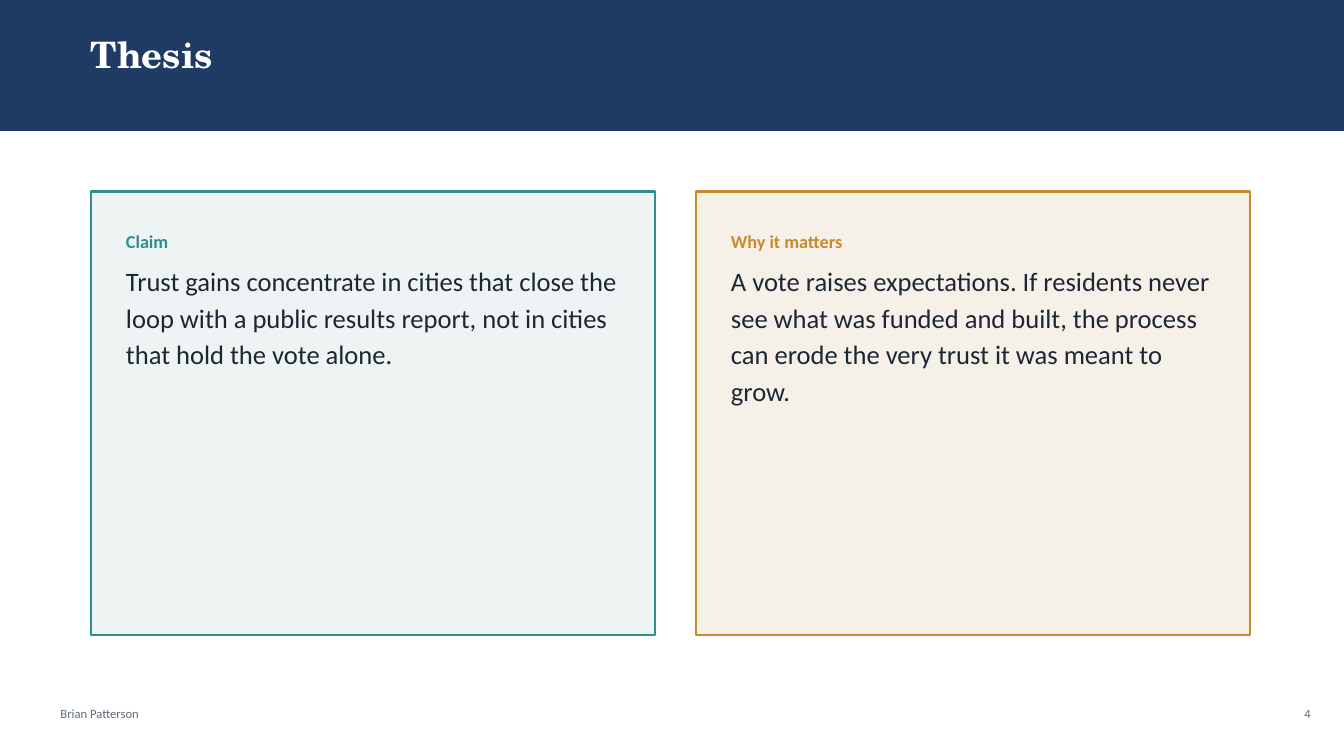
import pptx
import pptx.dml.color
import pptx.enum.shapes
import pptx.enum.text
import pptx.util
from dataclasses import dataclass

TITLE = "Thesis"
AUTHOR = "Brian Patterson"
PAGE_NUMBER = "4"
CARDS = [
    {
        "heading": "Claim",
        "body": "Trust gains concentrate in cities that close the loop with a "
                "public results report, not in cities that hold the vote alone.",
        "width": 5.6, "accent": "2F8F8A", "fill": "EEF4F3",
    },
    {
        "heading": "Why it matters",
        "body": "A vote raises expectations. If residents never see what was "
                "funded and built, the process can erode the very trust it was "
                "meant to grow.",
        "width": 5.5, "accent": "C98A2B", "fill": "F6F1E8",
    },
]


@dataclass(frozen=True)
class Theme:
    navy: str = "1F3A63"
    white: str = "FFFFFF"
    ink: str = "1D2733"
    muted: str = "5E6B7A"
    title_font: str = "TeX Gyre Schola"
    body_font: str = "Calibri"
    title_size: int = 26
    heading_size: int = 13
    body_size: int = 19
    footer_size: int = 9
    line_spacing: float = 1.15
    space_after: int = 6
    border: float = 1.5


THEME = Theme()
WIDTH, HEIGHT = 13.33, 7.5
MARGIN = 0.9
BAND_HEIGHT = 1.3
CARD_TOP, CARD_HEIGHT, CARD_GAP = 1.9, 4.4, 0.4
PADDING, PADDING_RIGHT = 0.35, 0.25
FOOTER_TOP, FOOTER_HEIGHT = 7, 0.4


def color(value):
    return pptx.dml.color.RGBColor.from_string(value)


def add_panel(page, box, fill, line=None):
    panel = page.shapes.add_shape(
        pptx.enum.shapes.MSO_SHAPE.RECTANGLE, *map(pptx.util.Inches, box))
    panel.shadow.inherit = False
    panel.fill.solid()
    panel.fill.fore_color.rgb = color(fill)
    if line:
        panel.line.color.rgb = color(line)
        panel.line.width = pptx.util.Pt(THEME.border)
    else:
        panel.line.fill.background()


def fill_text(shape, lines, font=THEME.body_font, align="LEFT", spacing=None):
    """Write lines of (text, size, colour, bold), one paragraph each."""
    frame = shape.text_frame
    frame.text = "\n".join(line[0] for line in lines)
    frame.word_wrap = True
    frame.auto_size = pptx.enum.text.MSO_AUTO_SIZE.NONE
    frame.vertical_anchor = pptx.enum.text.MSO_ANCHOR.TOP
    frame.margin_left = frame.margin_right = 0
    frame.margin_top = frame.margin_bottom = 0
    for para, (_, size, ink, bold) in zip(frame.paragraphs, lines):
        para.alignment = getattr(pptx.enum.text.PP_ALIGN, align)
        para.space_after = pptx.util.Pt(THEME.space_after)
        if spacing:
            para.line_spacing = spacing
        for span in para.runs:
            span.font.name = font
            span.font.size = pptx.util.Pt(size)
            span.font.bold = bold
            span.font.color.rgb = color(ink)


def add_text(page, box, lines, **options):
    shape = page.shapes.add_textbox(*map(pptx.util.Inches, box))
    fill_text(shape, lines, **options)


def add_title(page):
    add_panel(page, (0, 0, WIDTH, BAND_HEIGHT), THEME.navy)
    title = page.shapes.title
    title.left, title.top, title.width, title.height = map(
        pptx.util.Inches, (MARGIN, 0.32, 11.5, 0.8))
    fill_text(title, [(TITLE, THEME.title_size, THEME.white, True)],
              font=THEME.title_font)
    title.element.getparent().append(title.element)  # in front of the band


def add_cards(page):
    left = MARGIN
    for card in CARDS:
        width = card["width"]
        add_panel(page, (left, CARD_TOP, width, CARD_HEIGHT),
                  card["fill"], card["accent"])
        inner = (left + PADDING, CARD_TOP + PADDING,
                 width - PADDING - PADDING_RIGHT, CARD_HEIGHT - 2 * PADDING)
        add_text(page, inner, [
            (card["heading"], THEME.heading_size, card["accent"], True),
            (card["body"], THEME.body_size, THEME.ink, False),
        ], spacing=THEME.line_spacing)
        left += width + CARD_GAP


def add_footer(page):
    for text, left, width, align in (
        (AUTHOR, 0.6, WIDTH - 1.2, "LEFT"),
        (PAGE_NUMBER, 12.4, 0.6, "RIGHT"),
    ):
        add_text(page, (left, FOOTER_TOP, width, FOOTER_HEIGHT),
                 [(text, THEME.footer_size, THEME.muted, False)], align=align)


def main():
    deck = pptx.Presentation()
    deck.slide_width = pptx.util.Inches(WIDTH)
    deck.slide_height = pptx.util.Inches(HEIGHT)
    page = deck.slides.add_slide(deck.slide_layouts.get_by_name("Title Only"))
    page.background.fill.solid()
    page.background.fill.fore_color.rgb = color(THEME.white)
    add_title(page)
    add_cards(page)
    add_footer(page)
    deck.save("out.pptx")


if __name__ == "__main__":
    main()
